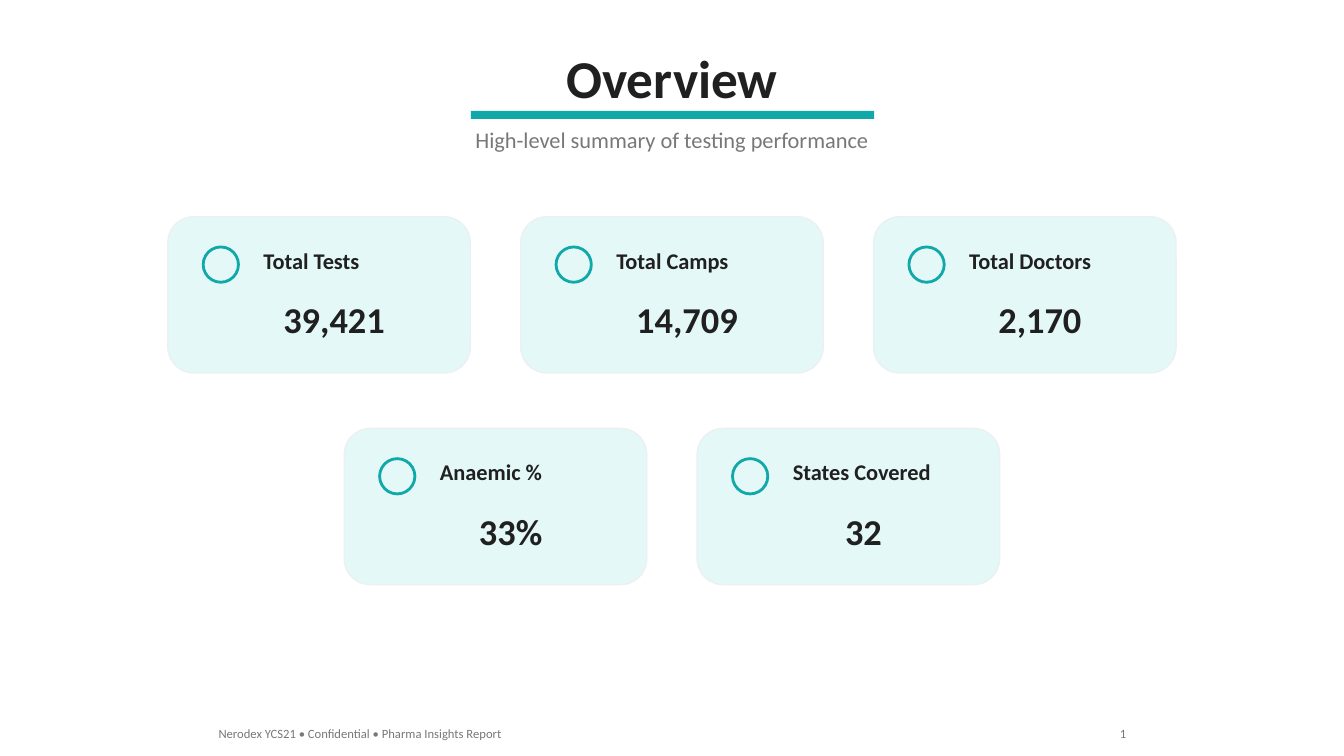
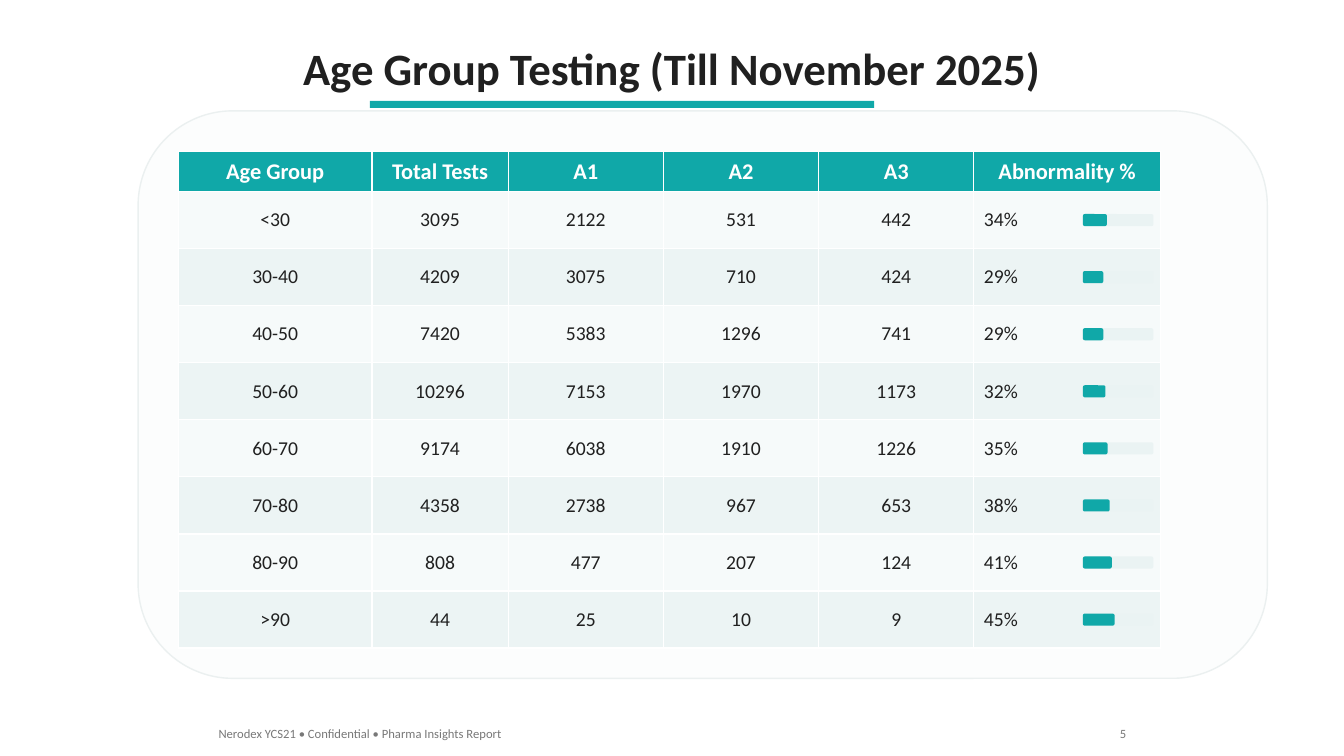
from pptx import Presentation
from pptx.dml.color import RGBColor
from pptx.enum.shapes import MSO_SHAPE
from pptx.enum.text import MSO_ANCHOR, PP_ALIGN
from pptx.util import Inches, Pt

# Shared look
FONT = "Calibri"
TEAL, INK, GREY, WHITE = "10A8A8", "202020", "787878", "FFFFFF"
CARD, PANEL, OUTLINE, TRACK = "E4F8F8", "FCFDFD", "EBF0F0", "EAF3F3"
ROW_FILLS = ["F6FAFA", "ECF4F4"]
SLIDE_WIDTH = 13.33
FOOTER = "Nerodex YCS21 • Confidential • Pharma Insights Report"
LEFT, CENTER, RIGHT = PP_ALIGN.LEFT, PP_ALIGN.CENTER, PP_ALIGN.RIGHT


def add_text(page, text, left, top, width, height, size, color=INK, bold=False, align=LEFT):
    box = page.shapes.add_textbox(Inches(left), Inches(top), Inches(width), Inches(height))
    box.text_frame.word_wrap = True
    style_text(box.text_frame, text, size, color, bold, align)


def style_text(frame, text, size, color, bold, align):
    para = frame.paragraphs[0]
    para.text = text
    para.alignment = align
    para.font.name = FONT
    para.font.size = Pt(size)
    para.font.bold = bold
    para.font.color.rgb = RGBColor.from_string(color)


def add_shape(page, kind, left, top, width, height, fill=None, line=None, line_width=1):
    shape = page.shapes.add_shape(kind, Inches(left), Inches(top), Inches(width), Inches(height))
    shape.shadow.inherit = False
    if fill:
        shape.fill.solid()
        shape.fill.fore_color.rgb = RGBColor.from_string(fill)
    else:
        shape.fill.background()
    if line:
        shape.line.color.rgb = RGBColor.from_string(line)
        shape.line.width = Pt(line_width)
    else:
        shape.line.fill.background()


deck = Presentation()
deck.slide_width, deck.slide_height = Inches(SLIDE_WIDTH), Inches(7.5)
overview, age_groups = [deck.slides.add_slide(deck.slide_layouts[6]) for _ in range(2)]

# Titles with their accent bars: page, title, top, width, height, size, bar
titles = [
    (overview, "Overview", 0.4, 2.4, 0.74, 38, (4.67, 1.1, 4, 0.08)),
    (age_groups, "Age Group Testing (Till November 2025)", 0.35, 7.7, 0.64, 32, (3.67, 1, 5, 0.07)),
]
for page, title, top, width, height, size, bar in titles:
    add_text(page, title, (SLIDE_WIDTH - width) / 2, top, width, height, size, bold=True, align=CENTER)
    add_shape(page, MSO_SHAPE.RECTANGLE, *bar, fill=TEAL)

# Overview: subtitle and rows of centred cards
add_text(overview, "High-level summary of testing performance",
         (SLIDE_WIDTH - 4.2) / 2, 1.2, 4.2, 0.37, 16, GREY, align=CENTER)

card_rows = [
    [("Total Tests", "39,421"), ("Total Camps", "14,709"), ("Total Doctors", "2,170")],
    [("Anaemic %", "33%"), ("States Covered", "32")],
]
card_width, card_height, card_gap, row_step = 3, 1.55, 0.5, 2.1
card_step = card_width + card_gap
for row_index, cards in enumerate(card_rows):
    top = 2.15 + row_index * row_step
    first_left = (SLIDE_WIDTH - len(cards) * card_step + card_gap) / 2
    for card_index, (label, value) in enumerate(cards):
        left = first_left + card_index * card_step
        add_shape(overview, MSO_SHAPE.ROUNDED_RECTANGLE, left, top, card_width, card_height, CARD, OUTLINE)
        add_shape(overview, MSO_SHAPE.OVAL, left + 0.35, top + 0.3, 0.35, 0.35, line=TEAL, line_width=2)
        add_text(overview, label, left + 0.85, top + 0.25, 1.7, 0.37, 16, bold=True)
        add_text(overview, value, left + 1, top + 0.75, 1.3, 0.54, 26, bold=True, align=CENTER)

# Age groups: panel and table
add_shape(age_groups, MSO_SHAPE.ROUNDED_RECTANGLE, 1.37, 1.1, 11.2, 5.63, PANEL, OUTLINE)

headers = ["Age Group", "Total Tests", "A1", "A2", "A3", "Abnormality %"]
records = [
    ("<30", 3095, 2122, 531, 442, 34),
    ("30-40", 4209, 3075, 710, 424, 29),
    ("40-50", 7420, 5383, 1296, 741, 29),
    ("50-60", 10296, 7153, 1970, 1173, 32),
    ("60-70", 9174, 6038, 1910, 1226, 35),
    ("70-80", 4358, 2738, 967, 653, 38),
    ("80-90", 808, 477, 207, 124, 41),
    (">90", 44, 25, 10, 9, 45),
]
table_top, header_height, table_height = 1.5, 0.4, 4.93
row_height = (table_height - header_height) / len(records)
table = age_groups.shapes.add_table(len(records) + 1, len(headers), Inches(1.77), Inches(table_top),
                                    Inches(9.73), Inches(table_height)).table
table.horz_banding = False
for column, width in zip(table.columns, [1.92, 1.35, 1.54, 1.54, 1.54, 1.85]):
    column.width = Inches(width)

for row_index, values in enumerate([headers] + records):
    is_header = row_index == 0
    table.rows[row_index].height = Inches(header_height if is_header else row_height)
    fill = TEAL if is_header else ROW_FILLS[(row_index - 1) % 2]
    for column_index, value in enumerate(values):
        is_percent = not is_header and column_index == len(headers) - 1
        cell = table.cell(row_index, column_index)
        cell.vertical_anchor = MSO_ANCHOR.MIDDLE
        cell.fill.solid()
        cell.fill.fore_color.rgb = RGBColor.from_string(fill)
        style_text(cell.text_frame, f"{value}%" if is_percent else str(value),
                   16 if is_header else 14, WHITE if is_header else INK,
                   is_header, LEFT if is_percent else CENTER)

# Abnormality bars over the last column
bar_width, bar_height = 0.7, 0.12
for index, record in enumerate(records):
    top = table_top + header_height + (index + 0.5) * row_height - bar_height / 2
    for width, fill in [(bar_width, TRACK), (bar_width * record[-1] / 100, TEAL)]:
        add_shape(age_groups, MSO_SHAPE.ROUNDED_RECTANGLE, 10.74, top, width, bar_height, fill)

# Footers
for page, number in [(overview, "1"), (age_groups, "5")]:
    add_text(page, FOOTER, 2.07, 7.15, 3.2, 0.25, 9, GREY)
    add_text(page, number, 10.97, 7.15, 0.3, 0.25, 9, GREY, align=RIGHT)

deck.save("out.pptx")
